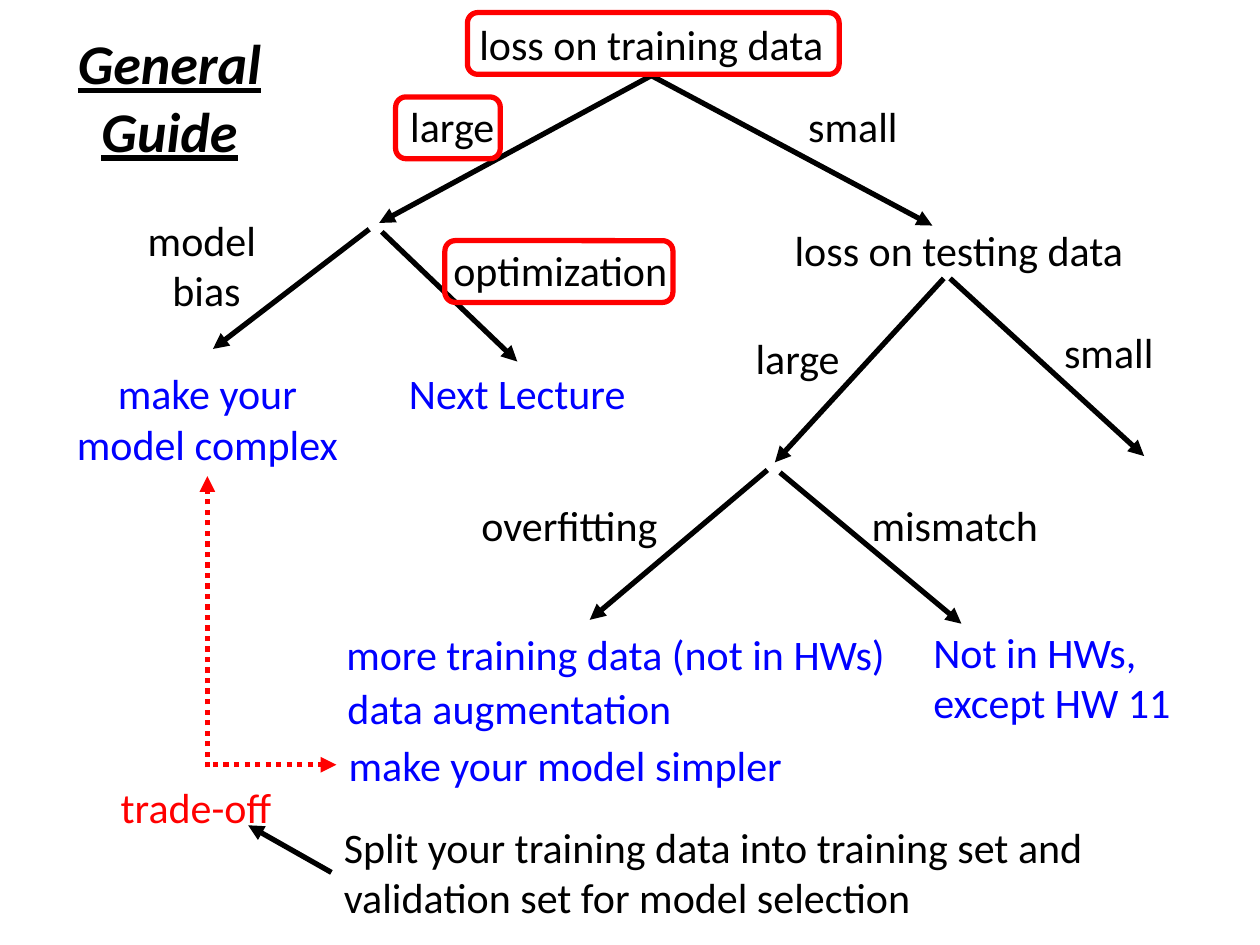
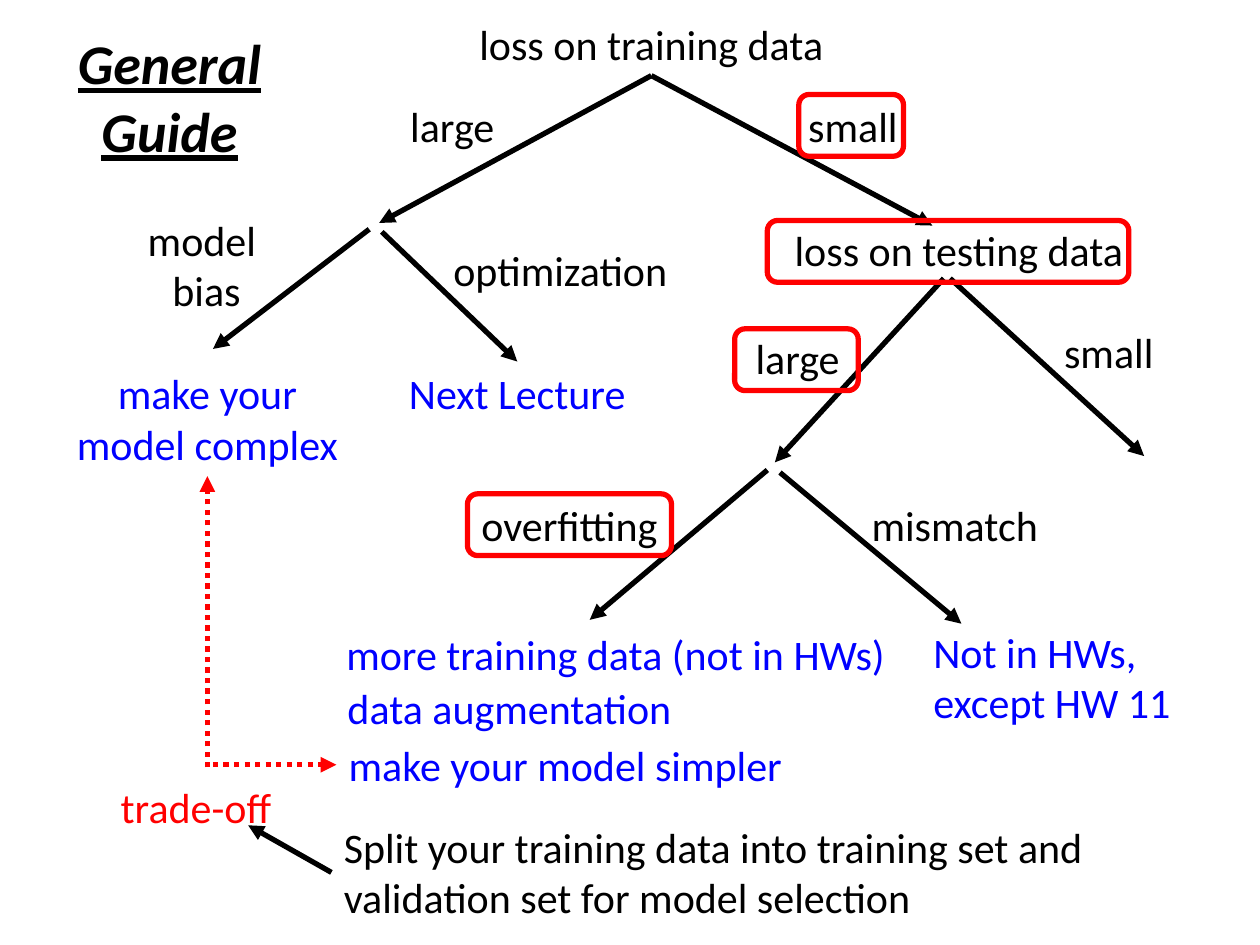
from dataclasses import dataclass
from typing import NamedTuple, Optional

from lxml import etree
from pptx import Presentation
from pptx.dml.color import RGBColor
from pptx.enum.dml import MSO_LINE
from pptx.enum.shapes import MSO_CONNECTOR, MSO_SHAPE
from pptx.enum.text import MSO_AUTO_SIZE, PP_ALIGN
from pptx.oxml.ns import qn
from pptx.shapes.base import BaseShape
from pptx.slide import Slide
from pptx.util import Pt

STRAIGHT = MSO_CONNECTOR.STRAIGHT
ROUNDED = MSO_SHAPE.ROUNDED_RECTANGLE
DOTTED = MSO_LINE.ROUND_DOT
GROW = MSO_AUTO_SIZE.SHAPE_TO_FIT_TEXT
LEFT, CENTER = PP_ALIGN.LEFT, PP_ALIGN.CENTER
LEFT_SIDE, TOP_SIDE, BOTTOM_SIDE = 1, 0, 2


@dataclass(frozen=True)
class Theme:
    black: RGBColor = RGBColor(0, 0, 0)
    blue: RGBColor = RGBColor(0, 0, 255)
    red: RGBColor = RGBColor(255, 0, 0)
    font: str = "Calibri"
    body_size: float = 24
    title_size: float = 32
    line_width: float = 3
    one_line: float = 36
    two_lines: float = 65.5
    title_height: float = 85
    branch_width: float = 122.4
    cause_width: float = 146.9
    remedy_width: float = 175


THEME = Theme()


@dataclass(frozen=True)
class Label:
    text: str
    left: float
    top: float
    width: float
    height: float = THEME.one_line
    color: RGBColor = THEME.black
    align: PP_ALIGN = CENTER
    size: float = THEME.body_size
    is_title: bool = False


class Joint(NamedTuple):
    label: str
    side: int


@dataclass(frozen=True)
class Arrow:
    start: tuple[float, float]
    end: tuple[float, float]
    start_joint: Optional[Joint] = None
    end_joint: Optional[Joint] = None
    color: RGBColor = THEME.black
    dotted: bool = False


class Highlight(NamedTuple):
    left: float
    top: float
    width: float
    height: float = 35.3


LABELS = {
    "training loss": Label("loss on training data", 221, 7.2, 302.4),
    "training large": Label("large", 197.3, 54, THEME.branch_width),
    "training small": Label("small", 426.2, 54, THEME.branch_width),
    "model bias": Label("model \nbias", 56.9, 118.8, THEME.branch_width, THEME.two_lines),
    "optimization": Label("optimization", 252, 136.1, THEME.cause_width, align=LEFT),
    "complex model": Label("make your model complex", 31, 206.6, THEME.remedy_width,
                           THEME.two_lines, THEME.blue),
    "next lecture": Label("Next Lecture", 208.1, 206.6, THEME.remedy_width, color=THEME.blue),
    "testing loss": Label("loss on testing data", 426.2, 124.6, 243.4),
    "overfitting": Label("overfitting", 252, 282.2, THEME.cause_width),
    "mismatch": Label("mismatch", 491, 282.2, THEME.cause_width, align=LEFT),
    "testing small": Label("small", 572.4, 182.9, THEME.branch_width),
    "testing large": Label("large", 394.6, 186.5, THEME.branch_width),
    "trade-off": Label("trade-off", 61.9, 442.8, 119.5, color=THEME.red, align=LEFT),
    "split": Label("Split your training data into training set and validation set for model selection",
                   189.4, 465.8, 506.2, THEME.two_lines, align=LEFT),
    "title": Label("General Guide", 28.8, 13, 136.1, THEME.title_height,
                   size=THEME.title_size, is_title=True),
    "homework": Label("Not in HWs, except HW 11", 526.3, 354.2, 185, THEME.two_lines,
                      THEME.blue, LEFT),
    "simpler model": Label("make your model simpler", 192.2, 419, 285.1,
                           color=THEME.blue, align=LEFT),
    "more data": Label("more training data (not in HWs)", 190.8, 355.7, 342,
                       color=THEME.blue, align=LEFT),
    "augmentation": Label("data augmentation", 191.5, 386.6, 268.6,
                          color=THEME.blue, align=LEFT),
}

TRAINING_ROOT = Joint("training loss", BOTTOM_SIDE)
ARROWS = [
    Arrow((372.2, 42.5), (216.7, 127.4), TRAINING_ROOT),
    Arrow((372.2, 42.5), (532.8, 128.9), TRAINING_ROOT),
    Arrow((211, 131), (121.7, 199.4)),
    Arrow((218.2, 132.5), (295.6, 206.6), end_joint=Joint("next lecture", TOP_SIDE)),
    Arrow((539.3, 159.1), (442.8, 264.2)),
    Arrow((542.9, 159.1), (653.8, 260.6)),
    Arrow((438.5, 268.6), (337, 354.2)),
    Arrow((445.7, 270), (549.4, 356.4)),
    Arrow((118.5, 438.5), (118.5, 272.1), end_joint=Joint("complex model", BOTTOM_SIDE),
          color=THEME.red, dotted=True),
    Arrow((121.7, 437), (192.2, 437), end_joint=Joint("simpler model", LEFT_SIDE),
          color=THEME.red, dotted=True),
    Arrow((189.4, 498.5), (141.8, 471.6), Joint("split", LEFT_SIDE)),
]

OPTIMIZATION_ROUTE = [
    Highlight(267.1, 7.2, 212.4),
    Highlight(226.1, 55.4, 59.8),
    Highlight(254.2, 137.5, 130.3),
]
OVERFITTING_ROUTE = [
    Highlight(456.5, 54, 59.8),
    Highlight(419.8, 187.9, 70.6),
    Highlight(438.5, 126, 206.6),
    Highlight(267.1, 282.2, 116.6),
]


def draw_label(slide: Slide, label: Label) -> BaseShape:
    shape = slide.shapes.add_textbox(
        Pt(label.left), Pt(label.top), Pt(label.width), Pt(label.height))
    frame = shape.text_frame
    frame.word_wrap = True
    frame.auto_size = GROW
    for index, line in enumerate(label.text.split("\n")):
        paragraph = frame.add_paragraph() if index else frame.paragraphs[0]
        paragraph.alignment = label.align
        run = paragraph.add_run()
        run.text = line
        run.font.name = THEME.font
        run.font.size = Pt(label.size)
        run.font.color.rgb = label.color
        if label.is_title:
            run.font.bold = run.font.italic = run.font.underline = True
    return shape


def draw_arrow(slide: Slide, arrow: Arrow, boxes: dict[str, BaseShape]) -> None:
    connector = slide.shapes.add_connector(
        STRAIGHT, *(Pt(value) for value in arrow.start + arrow.end))
    connector.line.color.rgb = arrow.color
    connector.line.width = Pt(THEME.line_width)
    if arrow.dotted:
        connector.line.dash_style = DOTTED
    properties = connector._element.spPr
    etree.SubElement(properties.find(qn("a:ln")), qn("a:tailEnd"), type="triangle")
    etree.SubElement(properties, qn("a:effectLst"))
    if arrow.start_joint:
        connector.begin_connect(boxes[arrow.start_joint.label], arrow.start_joint.side)
    if arrow.end_joint:
        connector.end_connect(boxes[arrow.end_joint.label], arrow.end_joint.side)


def draw_highlight(slide: Slide, highlight: Highlight) -> None:
    shape = slide.shapes.add_shape(ROUNDED, *(Pt(value) for value in highlight))
    shape.shadow.inherit = False
    shape.fill.background()
    shape.line.color.rgb = THEME.red
    shape.line.width = Pt(THEME.line_width)


def build_guide(slide: Slide, route: list[Highlight]) -> None:
    boxes = {name: draw_label(slide, label) for name, label in LABELS.items()}
    for arrow in ARROWS:
        draw_arrow(slide, arrow, boxes)
    for highlight in route:
        draw_highlight(slide, highlight)


def main() -> None:
    presentation = Presentation()
    presentation.slide_width = Pt(720)
    presentation.slide_height = Pt(540)
    blank_layout = presentation.slide_layouts[6]
    for route in (OPTIMIZATION_ROUTE, OVERFITTING_ROUTE):
        build_guide(presentation.slides.add_slide(blank_layout), route)
    presentation.save("out.pptx")


if __name__ == "__main__":
    main()
